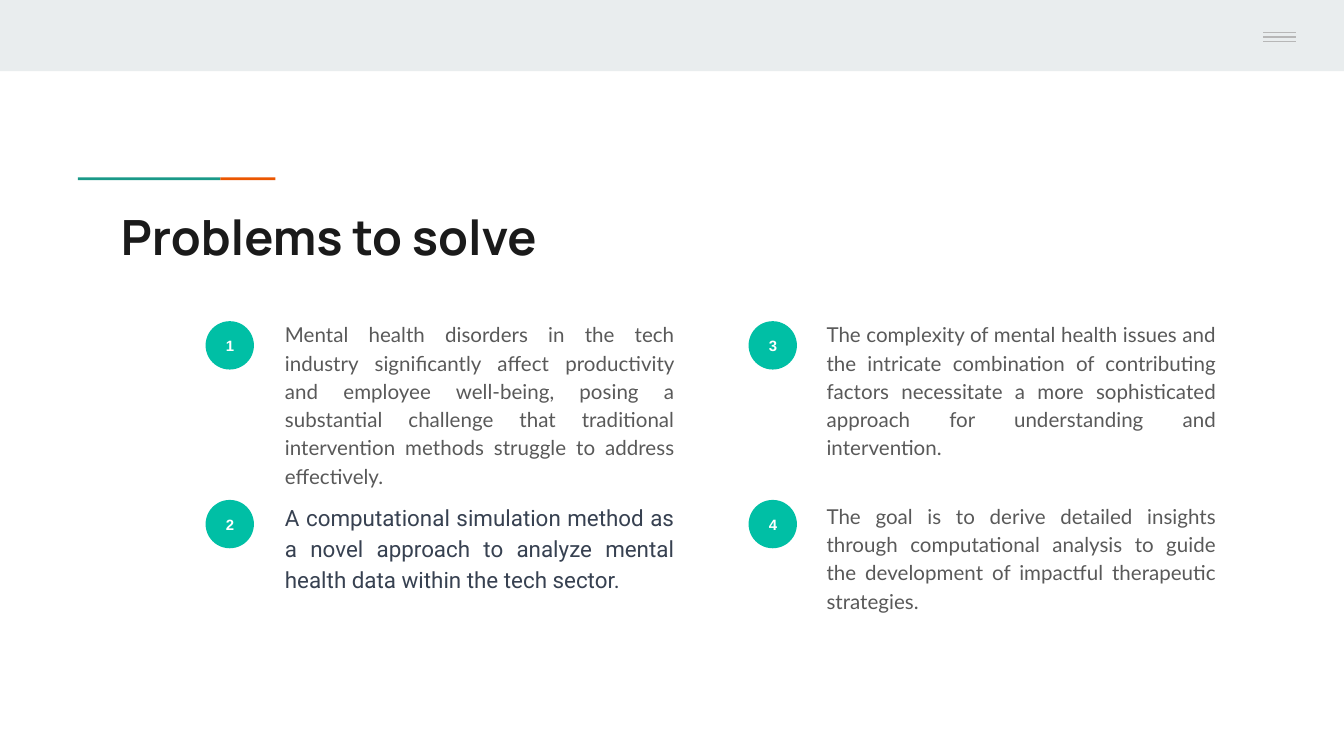
"""Build the "Problems to solve" slide."""

from dataclasses import dataclass

from lxml.etree import SubElement
from pptx import Presentation
from pptx.dml.color import RGBColor
from pptx.enum.shapes import MSO_CONNECTOR as Connector, MSO_SHAPE as Shape
from pptx.enum.text import MSO_ANCHOR as Anchor, MSO_AUTO_SIZE as AutoSize, PP_ALIGN as Align
from pptx.oxml.ns import qn
from pptx.util import Inches, Pt


@dataclass(frozen=True)
class Theme:
    """Colours, fonts and type sizes."""

    header: str = "E9EDEE"
    menu: str = "B7B7B7"
    teal: str = "1A9988"
    orange: str = "EB5600"
    badge: str = "00BFA5"
    white: str = "FFFFFF"
    title: str = "1A1A1A"
    body: str = "595959"
    slate: str = "374151"
    title_font: str = "Manrope"
    body_font: str = "Lato"
    alternate_font: str = "Roboto"
    badge_font: str = "Arial"
    title_size: float = 26
    body_size: float = 11
    alternate_size: float = 12
    badge_size: float = 8


THEME = Theme()


@dataclass(frozen=True)
class Block:
    """A filled area, in inches."""

    left: float
    top: float
    width: float
    height: float
    color: str


@dataclass(frozen=True)
class Problem:
    """One numbered statement and its type."""

    text: str
    font: str = THEME.body_font
    size: float = THEME.body_size
    color: str = THEME.body


BARS = [
    Block(0, 0, 10, 0.53, THEME.header),
    Block(0.58, 1.32, 1.06, 0.02, THEME.teal),
    Block(1.64, 1.32, 0.41, 0.02, THEME.orange),
]

PROBLEMS = [
    Problem(
        "Mental health disorders in the tech industry significantly affect productivity "
        "and employee well-being, posing a substantial challenge that traditional "
        "intervention methods struggle to address effectively."
    ),
    Problem(
        "A computational simulation method as a novel approach to analyze mental health "
        "data within the tech sector.",
        THEME.alternate_font,
        THEME.alternate_size,
        THEME.slate,
    ),
    Problem(
        "The complexity of mental health issues and the intricate combination of "
        "contributing factors necessitate a more sophisticated approach for "
        "understanding and intervention."
    ),
    Problem(
        "The goal is to derive detailed insights through computational analysis to guide "
        "the development of impactful therapeutic strategies."
    ),
]


def write_text(box, text: str, *, font: str, size: float, color: str, bold: bool = False,
               align=Align.LEFT, anchor=Anchor.TOP, line_spacing: float = 1.0,
               space_after: float = 0) -> None:
    """Fill a shape with one formatted, unbulleted paragraph."""
    frame = box.text_frame
    frame.auto_size = AutoSize.NONE
    frame.word_wrap = True
    frame.vertical_anchor = anchor
    frame.margin_left = frame.margin_right = Inches(0.1)
    frame.margin_top = frame.margin_bottom = Inches(0.1)
    para = frame.paragraphs[0]
    para.alignment = align
    para.line_spacing = line_spacing
    para.space_before = Pt(0)
    para.space_after = Pt(space_after)
    properties = para._p.get_or_add_pPr()
    properties.set("marL", "0")
    properties.set("indent", "0")
    SubElement(properties, qn("a:buNone"))
    span = para.add_run()
    span.text = text
    span.font.name = font
    span.font.size = Pt(size)
    span.font.bold = bold
    span.font.color.rgb = RGBColor.from_string(color)


def place(box, left: float, top: float, width: float, height: float) -> None:
    """Move and resize a placeholder."""
    box.left, box.top = Inches(left), Inches(top)
    box.width, box.height = Inches(width), Inches(height)


def draw_shape(page, kind, block: Block):
    """Draw a filled shape without outline or shadow."""
    shape = page.shapes.add_shape(
        kind, Inches(block.left), Inches(block.top), Inches(block.width), Inches(block.height))
    shape.shadow.inherit = False
    shape.fill.solid()
    shape.fill.fore_color.rgb = RGBColor.from_string(block.color)
    shape.line.fill.background()
    return shape


def draw_menu(page) -> None:
    """Draw the three-line menu icon in the header."""
    for index in range(3):
        top = Inches(0.24 + 0.07 * index / 2)
        line = page.shapes.add_connector(
            Connector.STRAIGHT, Inches(9.4), top, Inches(9.64), top)
        line.line.color.rgb = RGBColor.from_string(THEME.menu)
        line.line.width = Pt(0.75)
        SubElement(line._element.spPr, qn("a:effectLst"))


def draw_problem(page, box, problem: Problem, index: int) -> None:
    """Draw a numbered badge and its text, filling the grid column by column."""
    column, row = divmod(index, 2)
    badge = draw_shape(page, Shape.OVAL, Block(
        1.53 + 4.04 * column, 2.39 + 1.33 * row, 0.36, 0.36, THEME.badge))
    write_text(badge, str(index + 1), font=THEME.badge_font, size=THEME.badge_size,
               color=THEME.white, bold=True, align=Align.CENTER, anchor=Anchor.MIDDLE)
    place(box, 2.02 + 4.03 * column, 2.27 + 1.35 * row, 3.1, 1.15)
    write_text(box, problem.text, font=problem.font, size=problem.size, color=problem.color,
               align=Align.JUSTIFY, line_spacing=1.15, space_after=16)


def main() -> None:
    """Build and save the deck."""
    deck = Presentation()
    deck.slide_width, deck.slide_height = Inches(10), Inches(10 * 9 / 16)
    page = deck.slides.add_slide(deck.slide_layouts.get_by_name("Comparison"))
    title, *bodies = page.placeholders
    for bar in BARS:
        draw_shape(page, Shape.RECTANGLE, bar)
    draw_menu(page)
    place(title, 0.8, 1.44, 8.41, 0.59)
    write_text(title, "Problems to solve", font=THEME.title_font, size=THEME.title_size,
               color=THEME.title, bold=True)
    for index, (box, problem) in enumerate(zip(bodies, PROBLEMS)):
        draw_problem(page, box, problem, index)
    deck.save("out.pptx")


if __name__ == "__main__":
    main()
